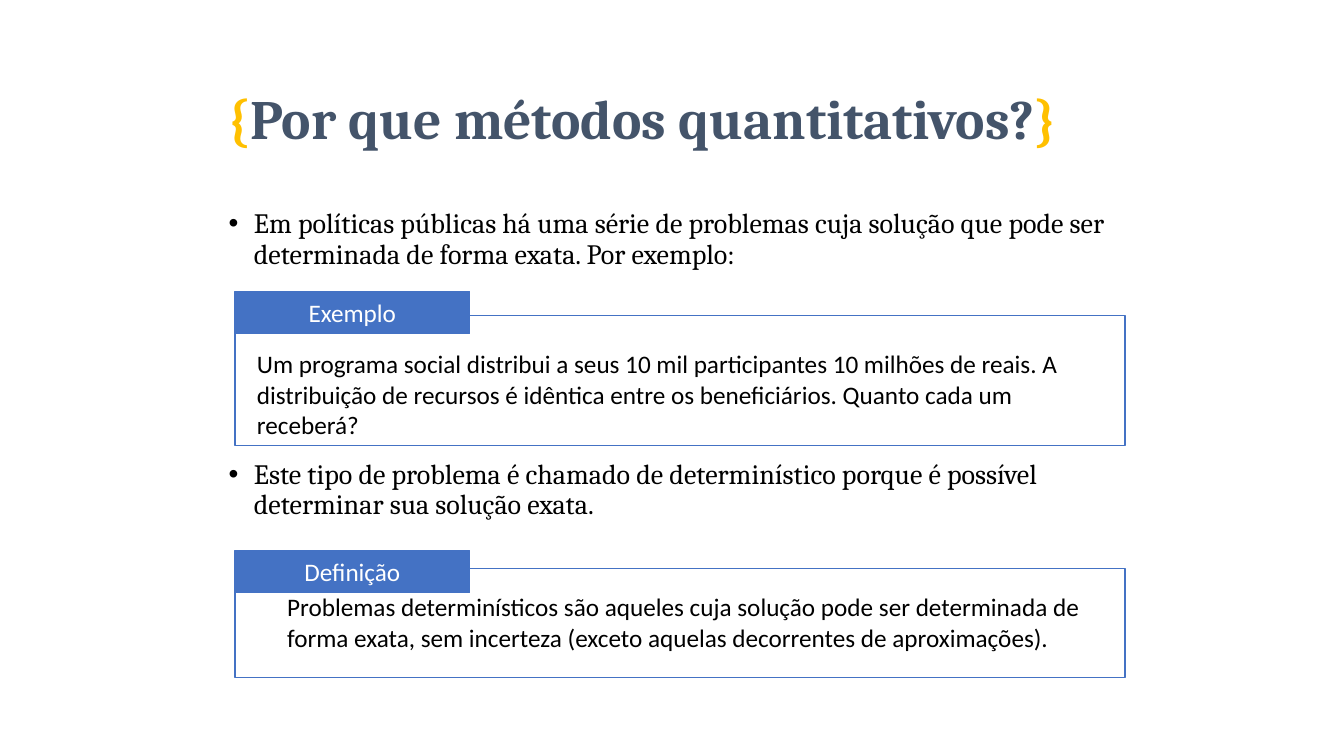
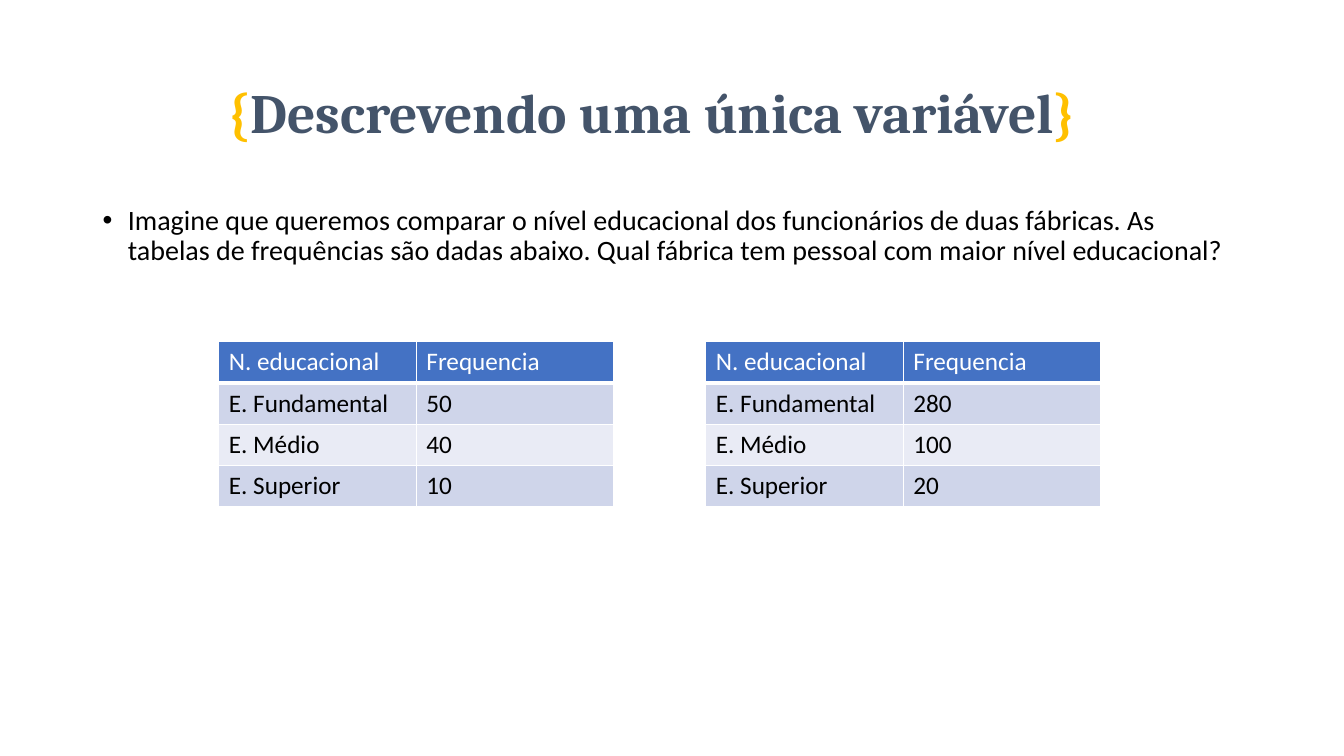
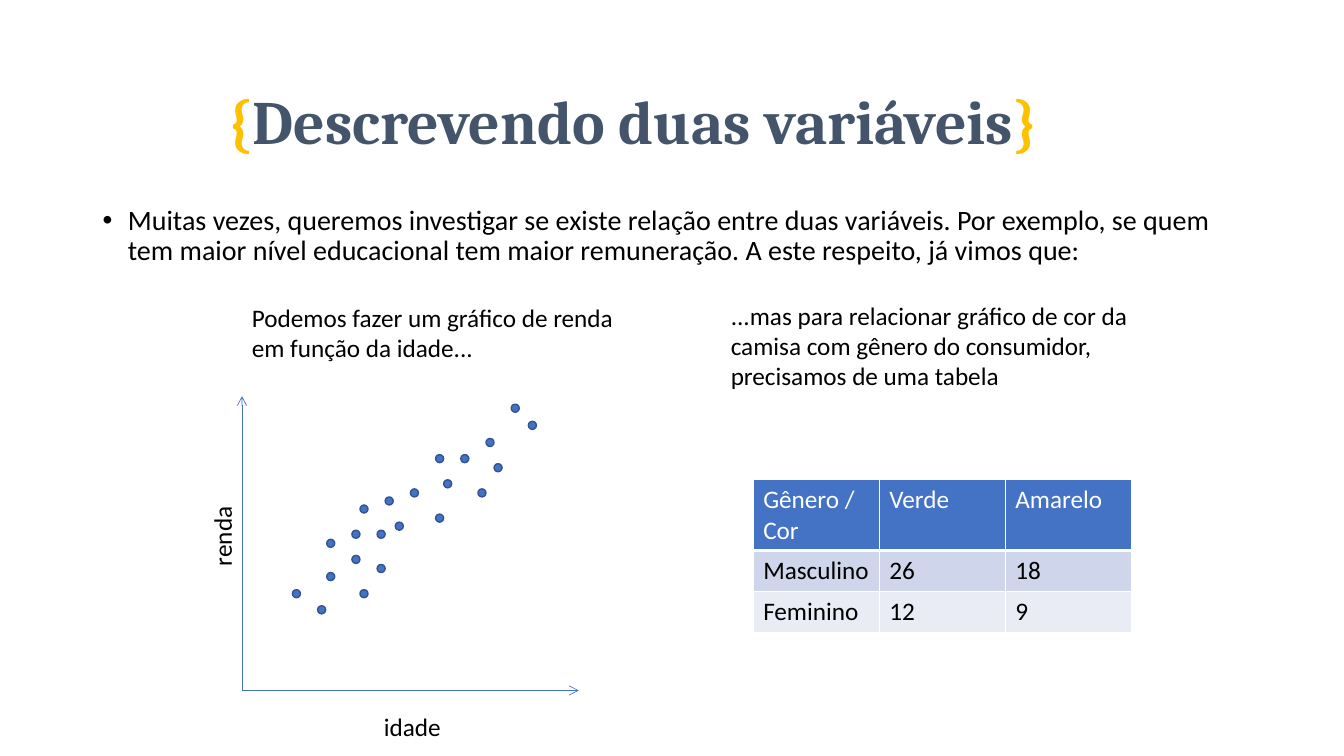
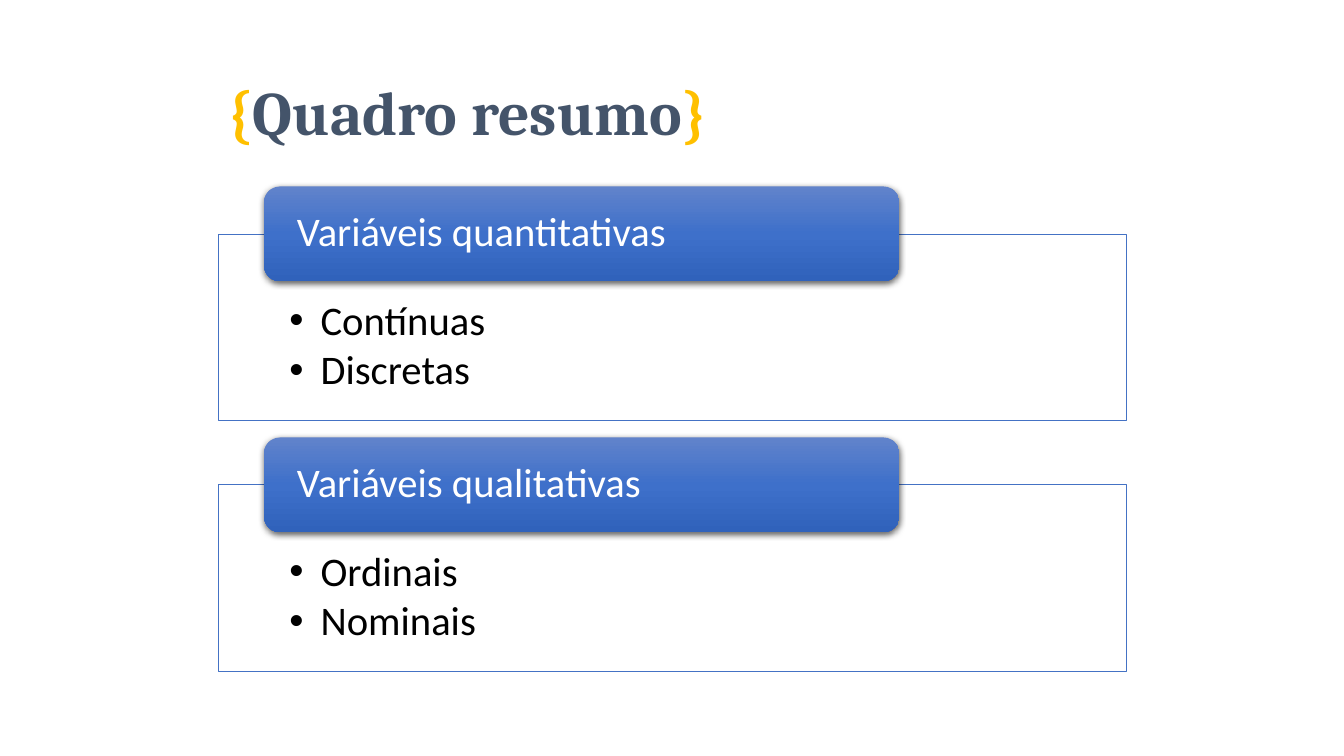
from dataclasses import dataclass, replace

from lxml.etree import SubElement
from pptx import Presentation
from pptx.dml.color import RGBColor
from pptx.enum.shapes import MSO_CONNECTOR, MSO_SHAPE
from pptx.enum.text import MSO_ANCHOR, PP_ALIGN
from pptx.oxml import parse_xml
from pptx.oxml.ns import nsdecls, qn
from pptx.shapes.autoshape import Shape
from pptx.slide import Slide
from pptx.text.text import TextFrame
from pptx.util import Inches, Pt

COLORS = {
    "text": "000000",
    "white": "FFFFFF",
    "title": "44546A",
    "brace": "FFC000",
    "accent": "4472C4",
    "dot_line": "325491",
    "band_dark": "CFD5EA",
    "band_light": "E9EBF5",
    "header_top": "6183CB",
    "header_middle": "3E70CA",
    "header_bottom": "3062BB",
}


@dataclass(frozen=True)
class Box:
    left: float
    top: float
    width: float
    height: float

    def lengths(self) -> tuple[int, int, int, int]:
        return (Inches(self.left), Inches(self.top), Inches(self.width), Inches(self.height))


@dataclass(frozen=True)
class Style:
    size: float = 18
    color: str = "text"
    font: str = "Calibri"
    align: PP_ALIGN = PP_ALIGN.LEFT
    anchor: MSO_ANCHOR = MSO_ANCHOR.TOP
    insets: tuple[float, float, float, float] = (0.1, 0.05, 0.1, 0.05)
    spacing: float = 1.0
    space_before: float = 0
    space_after: float = 0
    indent: float = 0


@dataclass(frozen=True)
class Callout:
    label: str
    text: str
    label_top: float
    frame: Box
    text_box: Box


@dataclass(frozen=True)
class Grid:
    left: float
    top: float
    column_width: float
    row_heights: tuple[float, ...]
    rows: tuple[tuple[str, ...], ...]


@dataclass(frozen=True)
class Summary:
    header: str
    items: tuple[str, ...]


NOTE = Style()
AXIS_NAME = Style(align=PP_ALIGN.CENTER)
LABEL = Style(color="white", align=PP_ALIGN.CENTER, anchor=MSO_ANCHOR.MIDDLE)
BODY = Style(size=20, spacing=0.9, indent=0.25)
SPREAD_BODY = replace(BODY, font="Cambria", space_before=136)
SUMMARY_ITEMS = Style(
    size=29, spacing=0.9, indent=0.31, space_after=4, insets=(0.7, 0.66, 0.7, 0.23)
)
SUMMARY_HEADER = Style(
    size=29, color="white", spacing=0.9, anchor=MSO_ANCHOR.MIDDLE, insets=(0.28, 0.05, 0.28, 0.05)
)

BODY_BOX = Box(0.92, 2, 11.5, 4.76)

CALLOUTS = (
    Callout(
        "Exemplo",
        "Um programa social distribui a seus 10 mil participantes 10 milhões de reais. "
        "A distribuição de recursos é idêntica entre os beneficiários. Quanto cada um receberá?",
        2.89,
        Box(2.33, 3.13, 8.83, 1.29),
        Box(2.45, 3.41, 8.64, 1.01),
    ),
    Callout(
        "Definição",
        "Problemas determinísticos são aqueles cuja solução pode ser determinada de forma exata, "
        "sem incerteza (exceto aquelas decorrentes de aproximações).",
        5.46,
        Box(2.33, 5.64, 8.83, 1.08),
        Box(2.75, 5.82, 8.33, 0.71),
    ),
)

LEVELS = ("E. Fundamental", "E. Médio", "E. Superior")
FACTORIES = ((2.17, ("50", "40", "10")), (7, ("280", "100", "20")))

SHIRTS = Grid(
    7.47, 4.76, 1.25, (0.69, 0.41, 0.41),
    (("Gênero / Cor", "Verde", "Amarelo"), ("Masculino", "26", "18"), ("Feminino", "12", "9")),
)

DOT_SIZE = 0.08
DOTS = (
    (2.9, 5.85), (3.15, 6.01), (5.07, 4.01), (5.24, 4.18), (4.82, 4.35), (4.9, 4.6),
    (4.4, 4.76), (3.57, 5.01), (3.92, 5.18), (3.74, 5.26), (3.49, 5.51), (3.49, 5.26),
    (3.82, 4.93), (4.32, 5.1), (4.07, 4.85), (4.32, 4.51), (3.24, 5.35), (3.74, 5.6),
    (3.57, 5.85), (3.24, 5.68), (4.74, 4.85), (4.57, 4.51),
)
AXIS_ORIGIN = (2.4, 6.85)
AXIS_ENDS = ((5.74, 6.85), (2.4, 3.93))

SUMMARIES = (
    Summary("Variáveis quantitativas", ("Contínuas", "Discretas")),
    Summary("Variáveis qualitativas", ("Ordinais", "Nominais")),
)
SUMMARY_TOP = 1.85
SUMMARY_STEP = 2.49


def rgb(name: str) -> RGBColor:
    return RGBColor.from_string(COLORS[name])


def write(frame: TextFrame, texts: tuple[str, ...], style: Style) -> None:
    frame.word_wrap = True
    frame.vertical_anchor = style.anchor
    left, top, right, bottom = (Inches(inset) for inset in style.insets)
    frame.margin_left, frame.margin_top = left, top
    frame.margin_right, frame.margin_bottom = right, bottom
    for index, text in enumerate(texts):
        paragraph = frame.add_paragraph() if index else frame.paragraphs[0]
        if style.indent:
            properties = paragraph._p.get_or_add_pPr()
            properties.set("marL", str(Inches(style.indent)))
            properties.set("indent", str(-Inches(style.indent)))
            SubElement(properties, qn("a:buFont")).set("typeface", "Arial")
            SubElement(properties, qn("a:buChar")).set("char", "•")
        paragraph.alignment = style.align
        paragraph.line_spacing = style.spacing
        if index and style.space_before:
            paragraph.space_before = Pt(style.space_before)
        if style.space_after:
            paragraph.space_after = Pt(style.space_after)
        paragraph.font.name = style.font
        paragraph.font.size = Pt(style.size)
        paragraph.font.bold = False
        paragraph.font.color.rgb = rgb(style.color)
        paragraph.add_run().text = text


def add_text(slide: Slide, box: Box, style: Style, *texts: str) -> Shape:
    shape = slide.shapes.add_textbox(*box.lengths())
    write(shape.text_frame, texts, style)
    return shape


def add_panel(
    slide: Slide,
    box: Box,
    fill: str | None = None,
    line: str | None = "accent",
    line_width: float = 1,
    preset: MSO_SHAPE = MSO_SHAPE.RECTANGLE,
) -> Shape:
    shape = slide.shapes.add_shape(preset, *box.lengths())
    shape.shadow.inherit = False
    if fill:
        shape.fill.solid()
        shape.fill.fore_color.rgb = rgb(fill)
    else:
        shape.fill.background()
    if line:
        shape.line.color.rgb = rgb(line)
        shape.line.width = Pt(line_width)
    else:
        shape.line.fill.background()
    return shape


def add_title(slide: Slide, text: str, top: float, size: float) -> None:
    shape = slide.shapes.add_textbox(*Box(2.17, top, 9, 1.25).lengths())
    frame = shape.text_frame
    frame.word_wrap = True
    frame.vertical_anchor = MSO_ANCHOR.MIDDLE
    paragraph = frame.paragraphs[0]
    paragraph.line_spacing = 0.9
    paragraph.font.name = "Cambria"
    paragraph.font.size = Pt(size)
    paragraph.font.bold = True
    for part, color in (("{", "brace"), (text, "title"), ("}", "brace")):
        run = paragraph.add_run()
        run.text = part
        run.font.color.rgb = rgb(color)


def add_callout(slide: Slide, callout: Callout) -> None:
    add_panel(slide, callout.frame)
    label_box = Box(callout.frame.left, callout.label_top, 2.33, 0.42)
    label = add_panel(slide, label_box, fill="accent")
    write(label.text_frame, (callout.label,), LABEL)
    add_text(slide, callout.text_box, NOTE, callout.text)


def add_grid(slide: Slide, grid: Grid) -> None:
    columns = len(grid.rows[0])
    box = Box(grid.left, grid.top, grid.column_width * columns, sum(grid.row_heights))
    table = slide.shapes.add_table(len(grid.rows), columns, *box.lengths()).table
    for column in table.columns:
        column.width = Inches(grid.column_width)
    for row_index, texts in enumerate(grid.rows):
        table.rows[row_index].height = Inches(grid.row_heights[row_index])
        is_header = row_index == 0
        band = "accent" if is_header else ("band_light", "band_dark")[row_index % 2]
        style = replace(NOTE, color="white") if is_header else NOTE
        for column_index, text in enumerate(texts):
            cell = table.cell(row_index, column_index)
            for side in "LRTB":
                above_rule = row_index == 0 and side == "B"
                below_rule = row_index == 1 and side == "T"
                width = Pt(3 if above_rule or below_rule else 1)
                cell._tc.get_or_add_tcPr().append(parse_xml(
                    f'<a:ln{side} {nsdecls("a")} w="{width}"><a:solidFill>'
                    f'<a:srgbClr val="{COLORS["white"]}"/></a:solidFill></a:ln{side}>'
                ))
            cell.fill.solid()
            cell.fill.fore_color.rgb = rgb(band)
            write(cell.text_frame, (text,), style)


def add_axis(slide: Slide, end: tuple[float, float]) -> None:
    points = (Inches(value) for value in AXIS_ORIGIN + end)
    axis = slide.shapes.add_connector(MSO_CONNECTOR.STRAIGHT, *points)
    axis.line.color.rgb = rgb("accent")
    axis.line.width = Pt(0.5)
    SubElement(axis.line._get_or_add_ln(), qn("a:tailEnd")).set("type", "arrow")
    SubElement(axis._element.spPr, qn("a:effectLst"))


def shade_header(shape: Shape) -> None:
    stops = "".join(
        f'<a:gs pos="{position}"><a:srgbClr val="{COLORS[name]}"/></a:gs>'
        for position, name in ((0, "header_top"), (50000, "header_middle"), (100000, "header_bottom"))
    )
    properties = shape._element.spPr
    properties.find(qn("a:prstGeom")).addnext(parse_xml(
        f'<a:gradFill {nsdecls("a")} rotWithShape="1"><a:gsLst>{stops}</a:gsLst>'
        '<a:lin ang="5400000" scaled="0"/></a:gradFill>'
    ))
    properties.remove(properties.find(qn("a:noFill")))
    properties.find(qn("a:effectLst")).append(parse_xml(
        f'<a:outerShdw {nsdecls("a")} blurRad="{Pt(4.5)}" dist="{Pt(1.5)}" dir="5400000" '
        f'algn="ctr" rotWithShape="0"><a:srgbClr val="{COLORS["text"]}">'
        '<a:alpha val="63000"/></a:srgbClr></a:outerShdw>'
    ))


def add_summary(slide: Slide, summary: Summary, top: float) -> None:
    panel = add_panel(slide, Box(2.17, top + 0.47, 9, 1.85), fill="white", line_width=0.5)
    color = panel._element.spPr.find(qn("a:solidFill")).find(qn("a:srgbClr"))
    SubElement(color, qn("a:alpha")).set("val", "90000")
    write(panel.text_frame, summary.items, SUMMARY_ITEMS)
    header = add_panel(
        slide, Box(2.62, top, 6.3, 0.94), line=None, preset=MSO_SHAPE.ROUNDED_RECTANGLE
    )
    shade_header(header)
    write(header.text_frame, (summary.header,), SUMMARY_HEADER)


def build_methods(slide: Slide) -> None:
    add_title(slide, "Por que métodos quantitativos?", 0.58, 39.6)
    add_text(
        slide, Box(2.17, 2.03, 9, 4.95), SPREAD_BODY,
        "Em políticas públicas há uma série de problemas cuja solução que pode ser "
        "determinada de forma exata. Por exemplo:",
        "Este tipo de problema é chamado de determinístico porque é possível "
        "determinar sua solução exata.",
    )
    for callout in CALLOUTS:
        add_callout(slide, callout)


def build_single_variable(slide: Slide) -> None:
    add_title(slide, "Descrevendo uma única variável", 0.52, 39.6)
    add_text(
        slide, BODY_BOX, BODY,
        "Imagine que queremos comparar o nível educacional dos funcionários de duas fábricas. "
        "As tabelas de frequências são dadas abaixo. Qual fábrica tem pessoal com maior nível "
        "educacional?",
    )
    for left, counts in FACTORIES:
        rows = (("N. educacional", "Frequencia"), *zip(LEVELS, counts))
        add_grid(slide, Grid(left, 3.39, 1.96, (0.41,) * len(rows), rows))


def build_two_variables(slide: Slide) -> None:
    add_title(slide, "Descrevendo duas variáveis", 0.61, 44)
    add_text(
        slide, BODY_BOX, BODY,
        "Muitas vezes, queremos investigar se existe relação entre duas variáveis. Por exemplo, "
        "se quem tem maior nível educacional tem maior remuneração. A este respeito, já vimos que:",
    )
    for end in AXIS_ENDS:
        add_axis(slide, end)
    add_text(
        slide, Box(2.4, 2.95, 3.92, 0.71), NOTE,
        "Podemos fazer um gráfico de renda em função da idade...",
    )
    add_text(
        slide, Box(7.15, 2.93, 4.17, 1.01), NOTE,
        "...mas para relacionar gráfico de cor da camisa com gênero do consumidor, "
        "precisamos de uma tabela",
    )
    for left, top in DOTS:
        add_panel(
            slide, Box(left, top, DOT_SIZE, DOT_SIZE),
            fill="accent", line="dot_line", preset=MSO_SHAPE.OVAL,
        )
    add_text(slide, Box(2.9, 7.01, 2.38, 0.4), AXIS_NAME, "idade")
    add_text(slide, Box(1.01, 5.12, 2.38, 0.4), AXIS_NAME, "renda").rotation = 270
    add_grid(slide, SHIRTS)


def build_summary(slide: Slide) -> None:
    add_title(slide, "Quadro resumo", 0.52, 44)
    for index, summary in enumerate(SUMMARIES):
        add_summary(slide, summary, SUMMARY_TOP + index * SUMMARY_STEP)


def main() -> None:
    presentation = Presentation()
    presentation.slide_width = Inches(13.33)
    presentation.slide_height = Inches(7.5)
    blank = presentation.slide_layouts[6]
    for build in (build_methods, build_single_variable, build_two_variables, build_summary):
        build(presentation.slides.add_slide(blank))
    presentation.save("out.pptx")


if __name__ == "__main__":
    main()
